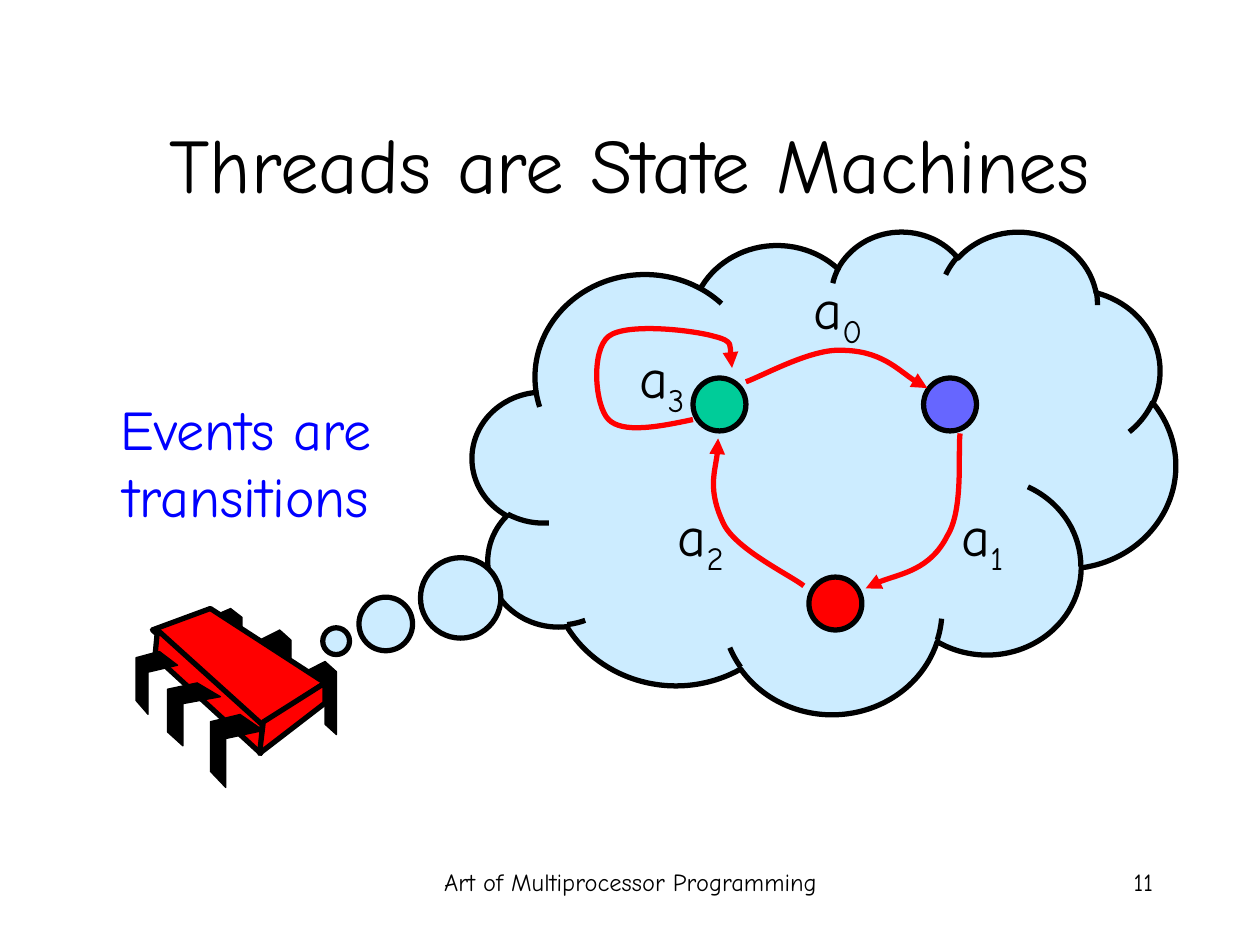
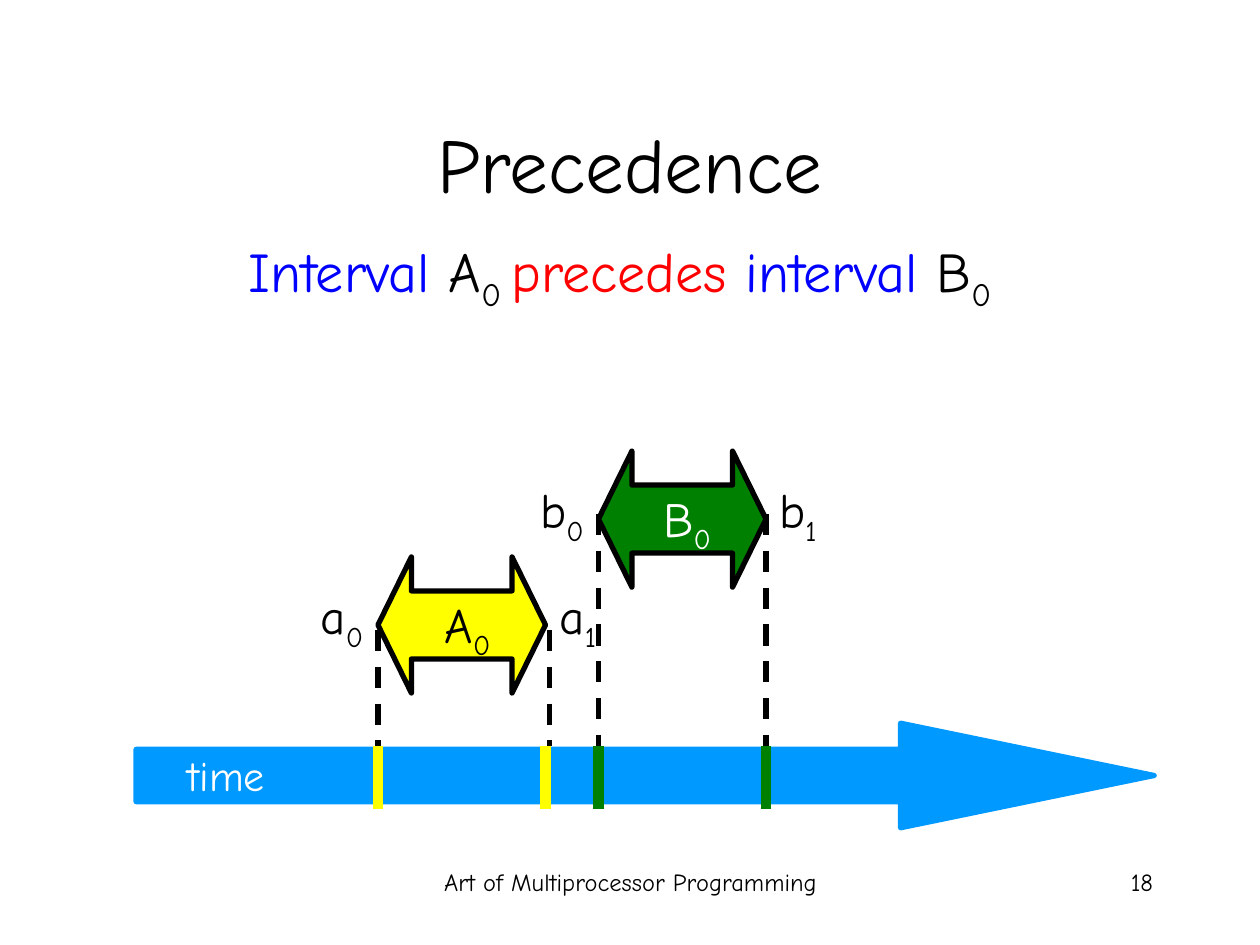
from lxml.etree import SubElement
from pptx import Presentation
from pptx.dml.color import RGBColor
from pptx.enum.dml import MSO_LINE
from pptx.enum.shapes import MSO_CONNECTOR, MSO_SHAPE
from pptx.enum.text import MSO_ANCHOR, MSO_AUTO_SIZE, PP_ALIGN
from pptx.oxml.ns import qn
from pptx.util import Inches, Pt

FONT = "Comic Neue"
COLORS = {
    "black": "000000",
    "white": "FFFFFF",
    "red": "FF0000",
    "blue": "0000FF",
    "cloud": "CCECFF",
    "teal": "00CC99",
    "violet": "6666FF",
    "time": "0099FF",
    "yellow": "FFFF00",
    "green": "008000",
}
TITLE_LAYOUT, TITLE_BODY_LAYOUT = 5, 1
LABEL_WIDTH = 0.7

# Outlines as fractions of each leg's box
BACK_LEG = [(0, 0.14), (0.64, 0), (1, 0.14), (1, 1), (0.64, 0.86), (0.64, 0.29), (0, 0.43)]
FRONT_LEG = [(0.56, 0), (1, 0.22), (0.29, 0.33), (0.29, 1), (0, 0.78), (0, 0.1)]


def color(name):
    return RGBColor.from_string(COLORS[name])


def place(shape, left, top, width, height):
    shape.left, shape.top = Inches(left), Inches(top)
    shape.width, shape.height = Inches(width), Inches(height)


def format_run(run, size, color_name, subscript=False):
    run.font.name = FONT
    run.font.size = Pt(size)
    run.font.color.rgb = color(color_name)
    if subscript:
        run.font._element.set("baseline", "-25000")


def write_runs(paragraph, pieces, size, align):
    """Fill a paragraph from (text, color name, subscript) pieces."""
    paragraph.alignment = align
    for text, color_name, subscript in pieces:
        run = paragraph.add_run()
        run.text = text
        format_run(run, size, color_name, subscript)


def add_text(slide, box, pieces, size, align):
    frame = slide.shapes.add_textbox(*map(Inches, box)).text_frame
    frame.word_wrap = True
    write_runs(frame.paragraphs[0], pieces, size, align)


def add_label(slide, right, top, letter, index, size, color_name="black"):
    """Place a subscripted name whose box ends at the given right edge."""
    box = (right - LABEL_WIDTH, top, LABEL_WIDTH, 0.6)
    pieces = [(letter, color_name, False), (index, color_name, True)]
    add_text(slide, box, pieces, size, PP_ALIGN.RIGHT)


def paint(shape, fill, line="black", width=3):
    shape.shadow.inherit = False
    if fill:
        shape.fill.solid()
        shape.fill.fore_color.rgb = color(fill)
    else:
        shape.fill.background()
    shape.line.color.rgb = color(line)
    shape.line.width = Pt(width)


def add_preset(slide, kind, box, fill, line="black", adjustments=()):
    shape = slide.shapes.add_shape(kind, *map(Inches, box))
    for index, value in enumerate(adjustments):
        shape.adjustments[index] = value
    paint(shape, fill, line)


def add_outline(slide, left, top, points, close=True):
    """Join points, given in inches from left and top, by straight segments."""
    start, *others = [(Inches(left + x), Inches(top + y)) for x, y in points]
    builder = slide.shapes.build_freeform(*start)
    builder.add_line_segments(others, close=close)
    return builder.convert_to_shape()


def add_curved_arrow(slide, left, top, points):
    """Draw a Bézier curve: a start, then two controls and an end per segment."""
    shape = add_outline(slide, left, top, points, close=False)
    paint(shape, None, "red")
    properties = shape._element.spPr
    outline = properties.find(".//" + qn("a:path"))
    segments = outline.findall(qn("a:lnTo"))
    for first in range(0, len(segments), 3):
        curve = SubElement(outline, qn("a:cubicBezTo"))
        for segment in segments[first:first + 3]:
            curve.append(segment[0])
            outline.remove(segment)
    SubElement(properties.find(qn("a:ln")), qn("a:tailEnd"), type="triangle")


def add_vertical(slide, x, top, bottom, color_name, width, dash=None):
    line = slide.shapes.add_connector(
        MSO_CONNECTOR.STRAIGHT, Inches(x), Inches(top), Inches(x), Inches(bottom))
    line.line.color.rgb = color(color_name)
    line.line.width = Pt(width)
    if dash:
        line.line.dash_style = dash
    SubElement(line._element.spPr, qn("a:effectLst"))


def add_slide(presentation, layout, title, number):
    """Start a slide with the shared title style and footer."""
    slide = presentation.slides.add_slide(presentation.slide_layouts[layout])
    heading = slide.shapes.title
    place(heading, 0.75, 0.67, 8.5, 1.25)
    frame = heading.text_frame
    frame.auto_size = MSO_AUTO_SIZE.NONE
    frame.vertical_anchor = MSO_ANCHOR.MIDDLE
    write_runs(frame.paragraphs[0], [(title, "black", False)], 44, PP_ALIGN.CENTER)
    footers = [
        ((3.42, 6.83, 3.17, 0.5), "Art of Multiprocessor Programming", PP_ALIGN.CENTER),
        ((7.17, 6.83, 2.08, 0.5), str(number), PP_ALIGN.RIGHT),
    ]
    for box, text, align in footers:
        add_text(slide, box, [(text, "black", False)], 14, align)
    return slide


def add_chip(slide, left, top):
    def add_legs(pattern, boxes):
        for x, y, width, height in boxes:
            points = [(x + u * width, y + v * height) for u, v in pattern]
            paint(add_outline(slide, left, top, points), "black", width=0.75)

    add_legs(BACK_LEG, [(1.34, 0.42, 0.25, 0.58), (0.98, 0.17, 0.25, 0.58),
                        (0.59, 0, 0.25, 0.5)])
    faces = [
        [(0.59, 0), (1.5, 0.59), (0.99, 0.93), (0.13, 0.17)],
        [(0.17, 0.17), (1, 0.92), (0.99, 1.15), (0.15, 0.38)],
        [(1.5, 0.59), (1.5, 0.75), (0.98, 1.15), (1.01, 0.9)],
    ]
    for face in faces:
        paint(add_outline(slide, left, top, face), "red")
    add_legs(FRONT_LEG, [(0.59, 0.84, 0.42, 0.58), (0.25, 0.59, 0.42, 0.5),
                         (0, 0.34, 0.33, 0.5)])


def add_state_machine(slide, left, top):
    """Draw a thought cloud holding three states and their transitions."""
    add_preset(slide, MSO_SHAPE.CLOUD_CALLOUT, (left, top, 5.58, 3.83), "cloud",
               adjustments=(-0.694, 0.351))
    states = [(1.75, 1.17, "teal"), (3.58, 1.17, "violet"), (2.67, 2.75, "red")]
    for x, y, fill in states:
        add_preset(slide, MSO_SHAPE.OVAL, (left + x, top + y, 0.42, 0.42), fill)
    # Each transition: right edge and top of its label, then its curve
    transitions = [
        (3.19, 0.29, [(2.17, 1.2), (2.29, 1.16), (2.68, 0.94), (2.92, 0.95),
                      (3.24, 0.95), (3.47, 1.19), (3.61, 1.25)]),
        (4.31, 2.09, [(3.87, 1.61), (3.85, 1.75), (3.9, 2.21), (3.77, 2.42),
                      (3.63, 2.7), (3.26, 2.75), (3.12, 2.84)]),
        (2.09, 2.09, [(2.63, 2.82), (2.53, 2.74), (2.11, 2.54), (2, 2.34),
                      (1.86, 2.06), (1.96, 1.79), (1.95, 1.65)]),
        (1.78, 0.84, [(1.75, 1.5), (1.47, 1.56), (1.19, 1.61), (1.08, 1.5),
                      (0.97, 1.39), (0.94, 0.95), (1.08, 0.84),
                      (1.22, 0.73), (1.75, 0.79), (1.92, 0.84),
                      (2.08, 0.88), (2.05, 1.04), (2.06, 1.09)]),
    ]
    for index, (right, label_top, points) in enumerate(transitions):
        add_curved_arrow(slide, left, top, points)
        add_label(slide, left + right, top + label_top, "a", str(index), 32)


def add_time_arrow(slide, left, top):
    add_preset(slide, MSO_SHAPE.RIGHT_ARROW, (left, top, 8.08, 0.83), "time", "time",
               adjustments=(0.5, 2.425))
    add_text(slide, (left + 0.12, top + 0.16, 1, 0.5), [("time", "white", False)],
             24, PP_ALIGN.RIGHT)


def add_interval(slide, left, top, letter, fill, text_color, dashes):
    """Draw an interval arrow, its end labels, and its marks on the time arrow."""
    width, mark_top, mark_bottom = 1.33, 5.92, 6.42
    dash_top, *dash_positions = dashes
    for x in dash_positions:
        add_vertical(slide, x, dash_top, mark_top, "black", 3, MSO_LINE.DASH)
    add_preset(slide, MSO_SHAPE.LEFT_RIGHT_ARROW, (left, top, width, 1.08), fill,
               adjustments=(0.5, 0.246))
    for index, right in enumerate((-0.02, 1.83)):
        add_label(slide, left + right, top + 0.18, letter.lower(), str(index), 28)
    add_label(slide, left + 0.99, top + 0.25, letter, "0", 28, text_color)
    for x in (left, left + width):
        add_vertical(slide, x, mark_top, mark_bottom, fill, 6)


def add_statement(slide):
    body = slide.placeholders[1]
    place(body, 0.67, 1.83, 8.5, 1.08)
    body.text_frame.auto_size = MSO_AUTO_SIZE.NONE
    paragraph = body.text_frame.paragraphs[0]
    pieces = [
        ("Interval ", "blue", False), ("A", "black", False), ("0 ", "black", True),
        ("precedes", "red", False), (" interval ", "blue", False),
        ("B", "black", False), ("0", "black", True),
    ]
    write_runs(paragraph, pieces, 32, PP_ALIGN.CENTER)
    paragraph.space_before = Pt(6.4)
    properties = paragraph._element.get_or_add_pPr()
    properties.set("marL", "0")
    properties.set("indent", "0")
    SubElement(properties, qn("a:buNone"))


def build_threads_slide(presentation):
    slide = add_slide(presentation, TITLE_LAYOUT, "Threads are State Machines", 11)
    add_state_machine(slide, 3.75, 1.83)
    add_chip(slide, 1.08, 4.83)
    add_text(slide, (0.58, 3.08, 2.75, 1.17),
             [("Events are transitions", "blue", False)], 32, PP_ALIGN.CENTER)


def build_precedence_slide(presentation):
    slide = add_slide(presentation, TITLE_BODY_LAYOUT, "Precedence", 18)
    add_statement(slide)
    add_time_arrow(slide, 1.08, 5.74)
    add_interval(slide, 3, 4.42, "A", "yellow", "black", (5, 3, 4.36))
    add_interval(slide, 4.75, 3.58, "B", "green", "white", (4.08, 4.75, 6.08))


def main():
    presentation = Presentation()
    presentation.slide_width, presentation.slide_height = Inches(10), Inches(7.5)
    build_threads_slide(presentation)
    build_precedence_slide(presentation)
    presentation.save("out.pptx")


if __name__ == "__main__":
    main()
